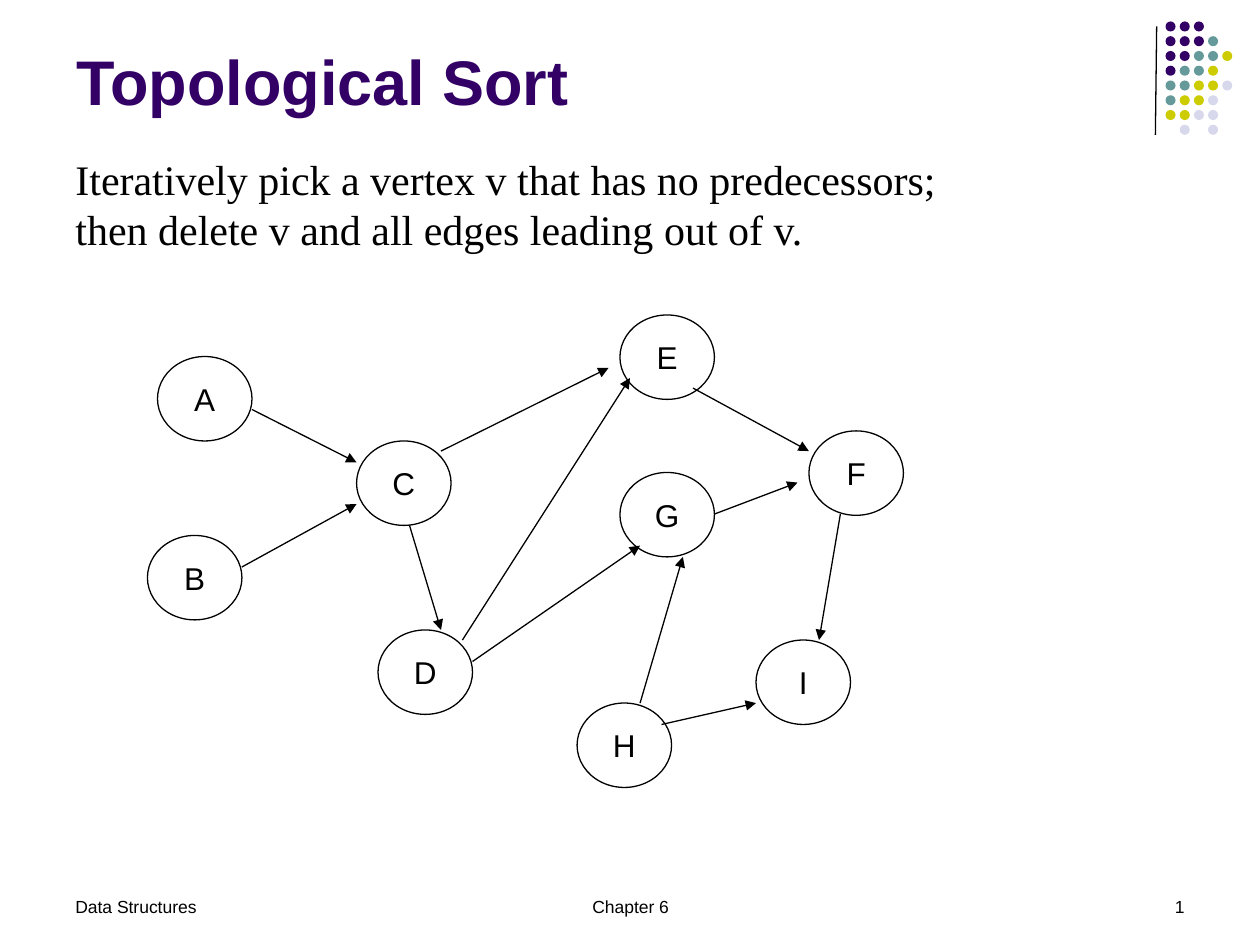
from dataclasses import dataclass

from lxml.etree import SubElement
from pptx import Presentation
from pptx.dml.color import RGBColor
from pptx.enum.shapes import MSO_CONNECTOR, MSO_SHAPE
from pptx.enum.text import MSO_ANCHOR, PP_ALIGN
from pptx.oxml.ns import qn
from pptx.util import Inches, Pt


@dataclass(frozen=True)
class Theme:
    ink: str = "000000"
    purple: str = "330066"
    teal: str = "669999"
    olive: str = "CCCC00"
    pale: str = "D8D8EC"
    sans: str = "Arial"
    serif: str = "Times New Roman"
    title_size: int = 36
    body_size: int = 24
    node_size: int = 18
    footer_size: int = 10
    line_width: float = 0.75


THEME = Theme()

# Corner ornament: one letter per dot, a space where there is none
DOT_COLORS = {"P": THEME.purple, "T": THEME.teal, "O": THEME.olive, "L": THEME.pale}
DOT_ROWS = ["PPP", "PPPT", "PPTTO", "PTTO", "TTOOL", "TOOL", "OOLL", " L L"]
DOT_LEFT, DOT_TOP, DOT_SIZE = 9.25, 0.17, 0.08
DOT_STEP_X, DOT_STEP_Y = 0.45 / 4, 0.82 / 7

# Graph: left and top of each vertex, then the ends of each edge
NODE_WIDTH, NODE_HEIGHT = 0.75, 0.67
NODES = {
    "A": (1.25, 2.83), "D": (3, 5), "C": (2.83, 3.5),
    "G": (4.92, 3.75), "E": (4.92, 2.5), "B": (1.17, 4.25),
    "H": (4.58, 5.58), "F": (6.42, 3.42), "I": (6, 5.08),
}
EDGES = {
    "AC": ((2, 3.25), (2.83, 3.67)),
    "BC": ((1.92, 4.5), (2.83, 4)),
    "CD": ((3.25, 4.17), (3.5, 5)),
    "DE": ((3.67, 5.08), (5, 3)),
    "CE": ((3.5, 3.58), (4.83, 2.92)),
    "DG": ((3.75, 5.25), (5.08, 4.33)),
    "EF": ((5.5, 3.08), (6.42, 3.58)),
    "GF": ((5.67, 4.08), (6.33, 3.83)),
    "HG": ((5.08, 5.58), (5.42, 4.42)),
    "HI": ((5.25, 5.75), (6, 5.58)),
    "FI": ((6.67, 4.08), (6.5, 5.08)),
}

FOOTERS = [
    ("Chapter 6", 3.42, 3.17, PP_ALIGN.CENTER),
    ("1", 7.17, 2.33, PP_ALIGN.RIGHT),
    ("Data Structures", 0.5, 2.33, PP_ALIGN.LEFT),
]


def style_text(frame, font, size, color=THEME.ink, bold=False, align=PP_ALIGN.LEFT):
    for para in frame.paragraphs:
        para.alignment = align
        for span in para.runs:
            span.font.name = font
            span.font.size = Pt(size)
            span.font.bold = bold
            span.font.color.rgb = RGBColor.from_string(color)


def add_text(page, text, left, top, width, height, font, size,
             anchor=MSO_ANCHOR.TOP, **style):
    box = page.shapes.add_textbox(Inches(left), Inches(top), Inches(width), Inches(height))
    frame = box.text_frame
    frame.word_wrap = True
    frame.vertical_anchor = anchor
    frame.text = text
    style_text(frame, font, size, **style)


def add_ellipse(group, left, top, width, height):
    ellipse = group.shapes.add_shape(
        MSO_SHAPE.OVAL, Inches(left), Inches(top), Inches(width), Inches(height))
    ellipse.shadow.inherit = False
    return ellipse


def add_dot(group, row, column, color):
    dot = add_ellipse(group, DOT_LEFT + column * DOT_STEP_X,
                      DOT_TOP + row * DOT_STEP_Y, DOT_SIZE, DOT_SIZE)
    dot.fill.solid()
    dot.fill.fore_color.rgb = RGBColor.from_string(color)
    dot.line.fill.background()


def add_node(group, name, left, top):
    node = add_ellipse(group, left, top, NODE_WIDTH, NODE_HEIGHT)
    node.fill.background()
    node.line.color.rgb = RGBColor.from_string(THEME.ink)
    node.line.width = Pt(THEME.line_width)
    frame = node.text_frame
    frame.word_wrap = False
    frame.vertical_anchor = MSO_ANCHOR.MIDDLE
    frame.text = name
    style_text(frame, THEME.sans, THEME.node_size, align=PP_ALIGN.CENTER)


def add_line(parent, start, end, arrow=False):
    line = parent.shapes.add_connector(
        MSO_CONNECTOR.STRAIGHT, *(Inches(value) for value in (*start, *end)))
    line.line.color.rgb = RGBColor.from_string(THEME.ink)
    line.line.width = Pt(THEME.line_width)
    if arrow:
        SubElement(line.line._get_or_add_ln(), qn("a:tailEnd"), type="triangle")
    SubElement(line._element.spPr, qn("a:effectLst"))


def add_ornament(page):
    add_line(page, (9.18, 0.21), (9.17, 1.07))
    group = page.shapes.add_group_shape()
    for row, letters in enumerate(DOT_ROWS):
        for column, letter in enumerate(letters):
            if letter in DOT_COLORS:
                add_dot(group, row, column, DOT_COLORS[letter])


def add_graph(page):
    group = page.shapes.add_group_shape()
    for name, (left, top) in NODES.items():
        add_node(group, name, left, top)
    for start, end in EDGES.values():
        add_line(group, start, end, arrow=True)


def main():
    deck = Presentation()
    deck.slide_width, deck.slide_height = Inches(10), Inches(7.5)
    page = deck.slides.add_slide(deck.slide_layouts[6])

    add_ornament(page)

    # Title
    add_text(page, "Topological Sort", 0.51, 0.28, 8.52, 0.71, THEME.sans,
             THEME.title_size, anchor=MSO_ANCHOR.BOTTOM, color=THEME.purple, bold=True)

    add_graph(page)

    # Explanation, with a line break inside one paragraph
    add_text(page, "Iteratively pick a vertex v that has no predecessors;\v"
             "then delete v and all edges leading out of v.",
             0.5, 1.17, 8.58, 0.9, THEME.serif, THEME.body_size)

    # Footer
    for text, left, width, align in FOOTERS:
        add_text(page, text, left, 7.06, width, 0.28, THEME.sans,
                 THEME.footer_size, align=align)

    deck.save("out.pptx")


if __name__ == "__main__":
    main()
